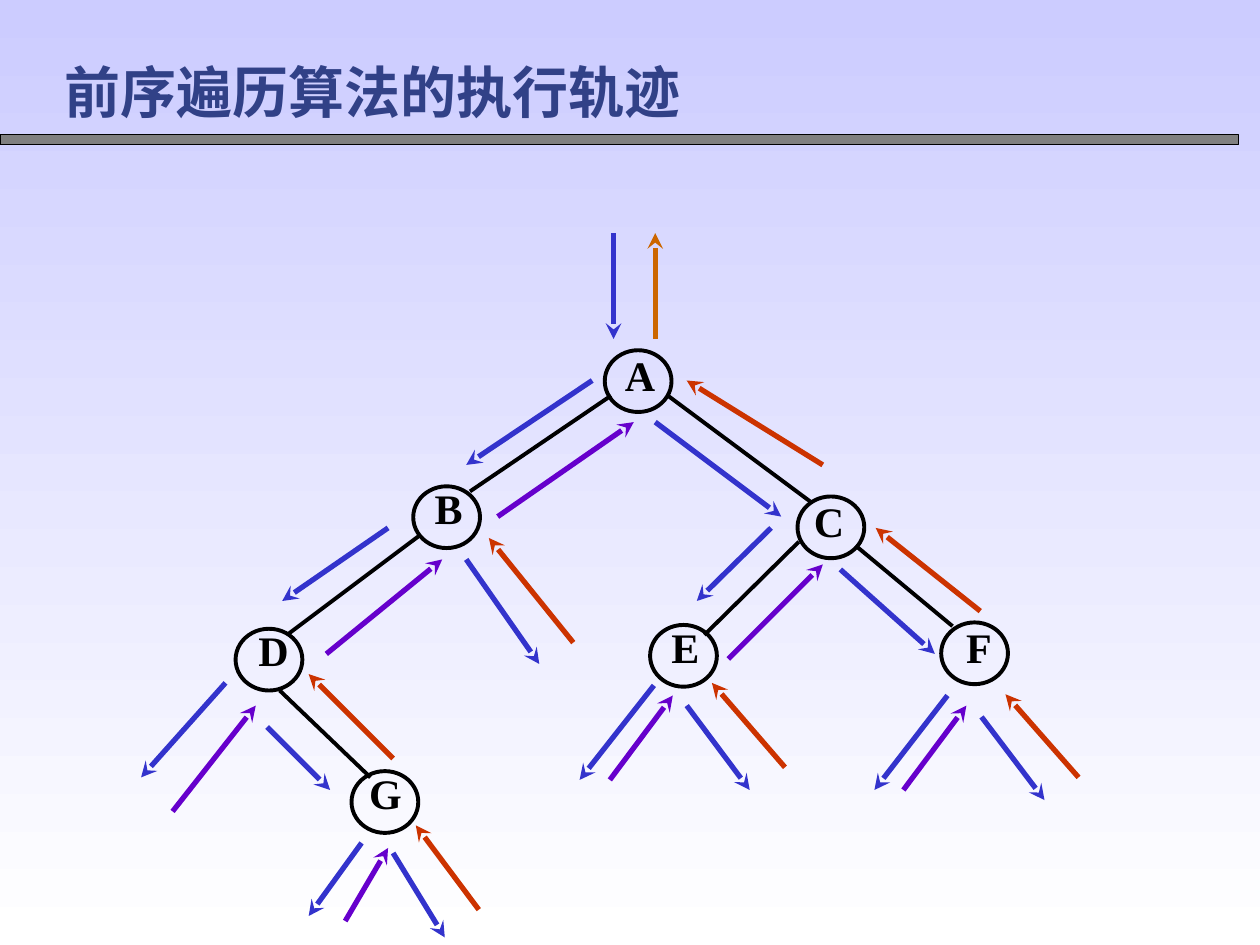
from typing import NamedTuple

from lxml.etree import SubElement
from pptx import Presentation
from pptx.dml.color import RGBColor
from pptx.enum.shapes import MSO_CONNECTOR as CONN, MSO_SHAPE as SHAPE
from pptx.enum.text import MSO_ANCHOR as ANCHOR, PP_ALIGN as ALIGN
from pptx.oxml.ns import qn
from pptx.util import Inches, Pt

# Grid of 100 columns by 75 rows over the slide
WIDTH, HEIGHT = Inches(10), Inches(7.5)
COL, ROW = WIDTH / 100, HEIGHT / 75

BLACK = RGBColor(0x00, 0x00, 0x00)
WHITE = RGBColor(0xFF, 0xFF, 0xFF)
GREY = RGBColor(0x80, 0x80, 0x80)
LAVENDER = RGBColor(0xCC, 0xCC, 0xFF)
NAVY = RGBColor(0x31, 0x41, 0x87)
BLUE = RGBColor(0x33, 0x33, 0xCC)
PURPLE = RGBColor(0x66, 0x00, 0xCC)
RED = RGBColor(0xCC, 0x33, 0x00)
ORANGE = RGBColor(0xCC, 0x66, 0x00)

NODE_W, NODE_H = 5.3, 4.9
LABEL_W, LABEL_H = 4.4, 5.8
LABEL_FONT = {"name": "Times New Roman", "size": Pt(24), "bold": True}
TITLE_FONT = {"name": "Noto Sans CJK SC", "size": Pt(32), "bold": True}


class Box(NamedTuple):
    col: float
    row: float
    cols: float
    rows: float

    def emu(self) -> tuple:
        return (round(self.col * COL), round(self.row * ROW),
                round(self.cols * COL), round(self.rows * ROW))


class Node(NamedTuple):
    name: str
    col: float
    row: float
    label_col: float
    label_row: float


class Line(NamedTuple):
    col1: float
    row1: float
    col2: float
    row2: float


NODES = [
    Node("A", 48.0, 27.8, 48.6, 27.7),
    Node("B", 32.8, 38.6, 33.4, 38.3),
    Node("C", 63.3, 39.4, 63.6, 39.3),
    Node("D", 18.7, 49.9, 19.5, 49.6),
    Node("E", 51.6, 49.6, 52.2, 49.3),
    Node("F", 74.7, 49.4, 75.5, 49.3),
    Node("G", 27.9, 61.2, 28.4, 60.9),
]

# Tree edges, parent to child: AB, AC, BD, DG, CE, CF
EDGES = [
    Line(48.5, 31.4, 37.3, 39.0), Line(53.0, 31.4, 64.3, 39.8),
    Line(33.3, 42.5, 22.9, 50.3), Line(22.2, 54.8, 29.4, 61.7),
    Line(63.4, 43.0, 55.9, 50.4), Line(67.9, 43.3, 75.6, 49.7),
]

# Steps of the walk, by colour
STEPS = {
    # going down
    BLUE: [
        Line(48.7, 18.5, 48.7, 26.9), Line(47.0, 30.2, 37.0, 36.9),
        Line(30.8, 41.9, 22.4, 47.7), Line(17.9, 54.2, 11.2, 61.7),
        Line(21.2, 57.7, 26.2, 62.7), Line(28.7, 66.9, 24.5, 72.7),
        Line(31.2, 67.7, 35.3, 74.4), Line(37.0, 44.4, 42.8, 52.7),
        Line(52.0, 33.5, 62.0, 41.0), Line(61.2, 41.9, 55.3, 47.7),
        Line(51.9, 54.4, 46.0, 61.9), Line(54.5, 56.0, 59.5, 62.7),
        Line(66.7, 45.2, 74.2, 51.9), Line(75.2, 55.2, 69.4, 62.7),
        Line(77.9, 56.9, 82.9, 63.5),
    ],
    # back from a left subtree
    PURPLE: [
        Line(13.7, 64.4, 20.3, 56.0), Line(27.4, 73.1, 30.8, 67.3),
        Line(25.9, 51.9, 35.1, 44.4), Line(39.5, 41.0, 50.3, 33.5),
        Line(48.4, 61.9, 53.4, 55.2), Line(57.8, 52.3, 65.3, 44.8),
        Line(71.7, 62.7, 76.7, 56.0),
    ],
    # back from a right subtree
    RED: [
        Line(38.0, 72.2, 33.0, 65.5), Line(31.2, 60.2, 24.5, 53.5),
        Line(45.5, 51.0, 38.8, 42.7), Line(62.3, 60.9, 56.5, 54.2),
        Line(85.6, 61.7, 79.8, 55.1), Line(77.8, 48.5, 69.5, 41.9),
        Line(65.3, 36.9, 54.5, 30.2),
    ],
    # leaving the root
    ORANGE: [Line(52.0, 26.9, 52.0, 18.5)],
}


def add_text(slide, box: Box, text: str, font: dict, color: RGBColor,
             align: ALIGN, inset: tuple) -> None:
    tf = slide.shapes.add_textbox(*box.emu()).text_frame
    x, y = (Inches(v) for v in inset)
    frame = {"word_wrap": True, "vertical_anchor": ANCHOR.TOP,
             "margin_left": x, "margin_right": x,
             "margin_top": y, "margin_bottom": y}
    for key, value in frame.items():
        setattr(tf, key, value)
    p = tf.paragraphs[0]
    p.alignment = align
    r = p.add_run()
    r.text = text
    for key, value in font.items():
        setattr(r.font, key, value)
    r.font.color.rgb = color
    SubElement(r.font._element, qn("a:ea"), typeface=TITLE_FONT["name"])


def add_line(slide, line: Line, color: RGBColor, width: float,
             arrow: bool = False) -> None:
    sp = slide.shapes.add_connector(
        CONN.STRAIGHT, round(line.col1 * COL), round(line.row1 * ROW),
        round(line.col2 * COL), round(line.row2 * ROW))
    sp.line.color.rgb = color
    sp.line.width = Pt(width)
    if arrow:
        SubElement(sp.line._get_or_add_ln(), qn("a:tailEnd"), type="stealth")
    SubElement(sp._element.spPr, qn("a:effectLst"))


def add_outline(slide, kind: SHAPE, box: Box, width: float):
    sp = slide.shapes.add_shape(kind, *box.emu())
    sp.shadow.inherit = False
    sp.fill.background()
    sp.line.color.rgb = BLACK
    sp.line.width = Pt(width)
    return sp


def add_node(slide, node: Node) -> None:
    label = Box(node.label_col, node.label_row, LABEL_W, LABEL_H)
    add_text(slide, label, node.name, LABEL_FONT, BLACK, ALIGN.CENTER, (0, 0))
    add_outline(slide, SHAPE.OVAL, Box(node.col, node.row, NODE_W, NODE_H), 2.25)


def main() -> None:
    prs = Presentation()
    prs.slide_width, prs.slide_height = WIDTH, HEIGHT
    s = prs.slides.add_slide(prs.slide_layouts[6])

    # Background, lavender at the top
    fill = s.background.fill
    fill.gradient()
    fill.gradient_angle = 270
    for stop, color, position in zip(fill.gradient_stops, (LAVENDER, WHITE), (0, 1)):
        stop.color.rgb = color
        stop.position = position

    # Title and rule
    rule = add_outline(s, SHAPE.RECTANGLE, Box(0, 10.7, 98.3, 0.8), 0.75)
    rule.fill.solid()
    rule.fill.fore_color.rgb = GREY
    add_text(s, Box(4.1, 4.1, 55.8, 6.4), "前序遍历算法的执行轨迹",
             TITLE_FONT, NAVY, ALIGN.LEFT, (0.1, 0.05))

    # Tree
    for node in NODES:
        add_node(s, node)
    for edge in EDGES:
        add_line(s, edge, BLACK, 2.25)

    # Walk around the tree
    for color, steps in STEPS.items():
        for step in steps:
            add_line(s, step, color, 3, arrow=True)

    prs.save("out.pptx")


if __name__ == "__main__":
    main()
